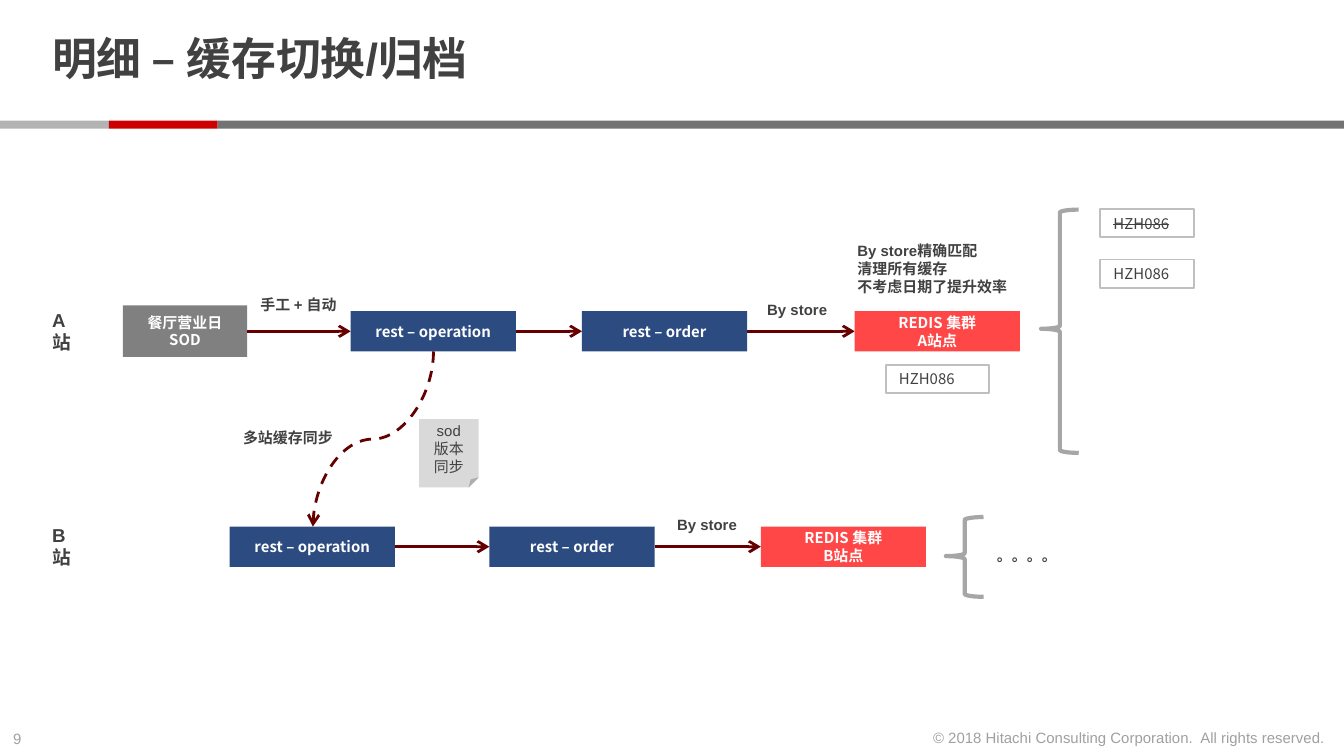
import lxml.etree
import pptx
import pptx.dml.color
import pptx.enum.dml
import pptx.enum.shapes
import pptx.enum.text
import pptx.oxml.ns
import pptx.util

Pt = pptx.util.Pt
Shape = pptx.enum.shapes.MSO_SHAPE
Link = pptx.enum.shapes.MSO_CONNECTOR
Align = pptx.enum.text.PP_ALIGN
Anchor = pptx.enum.text.MSO_ANCHOR
qn = pptx.oxml.ns.qn

COLORS = {
    "text": "414141", "faint": "A0A0A0", "white": "FFFFFF",
    "dark": "737373", "red": "CC0000", "light": "B3B3B3",
    "blue": "2C4B80", "coral": "FF4747", "gray": "808080",
    "note": "D9D9D9", "edge": "BFBFBF", "brace": "A6A6A6",
    "arrow": "660000",
}
SANS = "Arial"
CJK = "Noto Sans CJK SC"


class Deck:
    def __init__(self):
        self.show = pptx.Presentation()
        self.show.slide_width = Pt(720)
        self.show.slide_height = Pt(405)
        self.slide = self.show.slides.add_slide(self.show.slide_layouts[6])

    def color(self, name):
        return pptx.dml.color.RGBColor.from_string(COLORS[name])

    def fill_text(self, frame, lines, size=8, font=SANS, color="text",
                  bold=True, align=Align.LEFT, strike=False):
        for i, line in enumerate(lines):
            para = frame.paragraphs[0] if i == 0 else frame.add_paragraph()
            run = para.add_run()
            run.text = line
            para.alignment = align
            para.font.size = Pt(size)
            para.font.name = font
            para.font.bold = bold
            para.font.color.rgb = self.color(color)
            if strike:
                run._r.get_or_add_rPr().set("strike", "sngStrike")

    def text(self, x, y, w, h, *lines, wrap=True, **style):
        frame = self.slide.shapes.add_textbox(Pt(x), Pt(y), Pt(w), Pt(h)).text_frame
        frame.word_wrap = wrap
        self.fill_text(frame, lines, **style)
        return frame

    def shape(self, kind, x, y, w, h, fill=None, edge=None, width=1):
        item = self.slide.shapes.add_shape(kind, Pt(x), Pt(y), Pt(w), Pt(h))
        item.shadow.inherit = False
        if fill:
            item.fill.solid()
            item.fill.fore_color.rgb = self.color(fill)
        else:
            item.fill.background()
        if edge:
            item.line.color.rgb = self.color(edge)
            item.line.width = Pt(width)
        else:
            item.line.fill.background()
        return item

    def box(self, x, y, w, h, fill, *lines, edge=None, kind=Shape.RECTANGLE, **style):
        frame = self.shape(kind, x, y, w, h, fill, edge).text_frame
        frame.word_wrap = True
        frame.vertical_anchor = Anchor.MIDDLE
        self.fill_text(frame, lines, **style)

    def node(self, x, y, w, h, fill, *lines):
        self.box(x, y, w, h, fill, *lines, font=CJK, color="white", align=Align.CENTER)

    def store(self, x, y, w, strike=False):
        self.box(x, y, w, 15.1, "white", "HZH086", edge="edge",
                 font=CJK, bold=False, strike=strike)

    def brace(self, x, y, h):
        item = self.shape(Shape.RIGHT_BRACE, x, y, 20.2, h, None, "brace", 2.25)
        item.adjustments[0] = 0.08
        item.adjustments[1] = 0.49
        item.element.spPr.xfrm.set("flipH", "1")

    def arrow(self, x, y, right, low, kind=Link.STRAIGHT, turn=0, dash=False):
        item = self.slide.shapes.add_connector(kind, Pt(x), Pt(y), Pt(right), Pt(low))
        item.line.color.rgb = self.color("arrow")
        item.line.width = Pt(1.5)
        if dash:
            item.line.dash_style = pptx.enum.dml.MSO_LINE.DASH
        props = item.element.spPr
        if turn:
            props.xfrm.set("rot", str(turn * 60000))
        lxml.etree.SubElement(props.find(qn("a:ln")), qn("a:tailEnd"), type="arrow")
        lxml.etree.SubElement(props, qn("a:effectLst"))


def main():
    deck = Deck()
    deck.text(0, 387.4, 24.5, 17.3, "9", wrap=False, color="faint", bold=False)
    deck.text(489.6, 386.8, 227.5, 17.3,
              "© 2018 Hitachi Consulting Corporation.  All rights reserved.",
              wrap=False, color="faint", bold=False, align=Align.RIGHT)
    for x, w, fill in ((0, 58.3, "light"), (58.3, 58.3, "red"), (116.6, 603.4, "dark")):
        deck.shape(Shape.RECTANGLE, x, 64.6, w, 4.4, fill)

    title = deck.text(20.9, 4.3, 555, 57.6, "明细 – 缓存切换/归档", size=24)
    title.margin_top = title.margin_bottom = 0
    title.vertical_anchor = Anchor.MIDDLE
    title.paragraphs[0].line_spacing = 0.85

    wide, high = 88.5, 21.6
    rows = (
        ("A", 166.7, (187.9, 311.8, 457.9), 403.9),
        ("B", 282.1, (123.1, 262.2, 407.6), 355.6),
    )
    for site, y, lefts, label in rows:
        deck.text(20.9, y - 5, 20.2, 31.7, site + "站", size=10)
        mid = y + high / 2
        for start, end in zip(lefts, lefts[1:]):
            deck.arrow(start + wide, mid, end, mid)
        names = (("rest – operation",), ("rest – order",), ("REDIS 集群", site + "站点"))
        for x, fill, lines in zip(lefts, ("blue", "blue", "coral"), names):
            deck.node(x, y, wide, high, fill, *lines)
        deck.text(label, y - 9.2, 46.8, 17.3, "By store", wrap=False)

    deck.node(65.9, 163.6, 66.5, 27.6, "gray", "餐厅营业日SOD")
    deck.arrow(132.4, 177.5, 187.9, 177.5)
    deck.text(132.4, 154.8, 56.2, 17.3, "手工 + 自动")
    deck.text(452.2, 126, 99.4, 36, "By store精确匹配", "清理所有缓存", "不考虑日期了提升效率")

    deck.arrow(153, 202.9, 246.8, 267.5, Link.CURVE, turn=90, dash=True)
    deck.text(123.1, 226.1, 63.4, 17.3, "多站缓存同步", wrap=False)
    deck.box(224.5, 224.5, 31.9, 36.6, "note", "sod版本同步",
             kind=Shape.FOLDED_CORNER, bold=False, align=Align.CENTER)

    deck.store(474.5, 195.4, 55.4)
    deck.store(589.4, 111.9, 50.1, strike=True)
    deck.store(589.4, 139, 50.1)
    deck.brace(557.7, 112.3, 130.4)
    deck.brace(506.7, 277, 42.8)
    deck.text(527, 289.4, 46.8, 17.3, "。。。。", wrap=False)
    deck.show.save("out.pptx")


if __name__ == "__main__":
    main()
